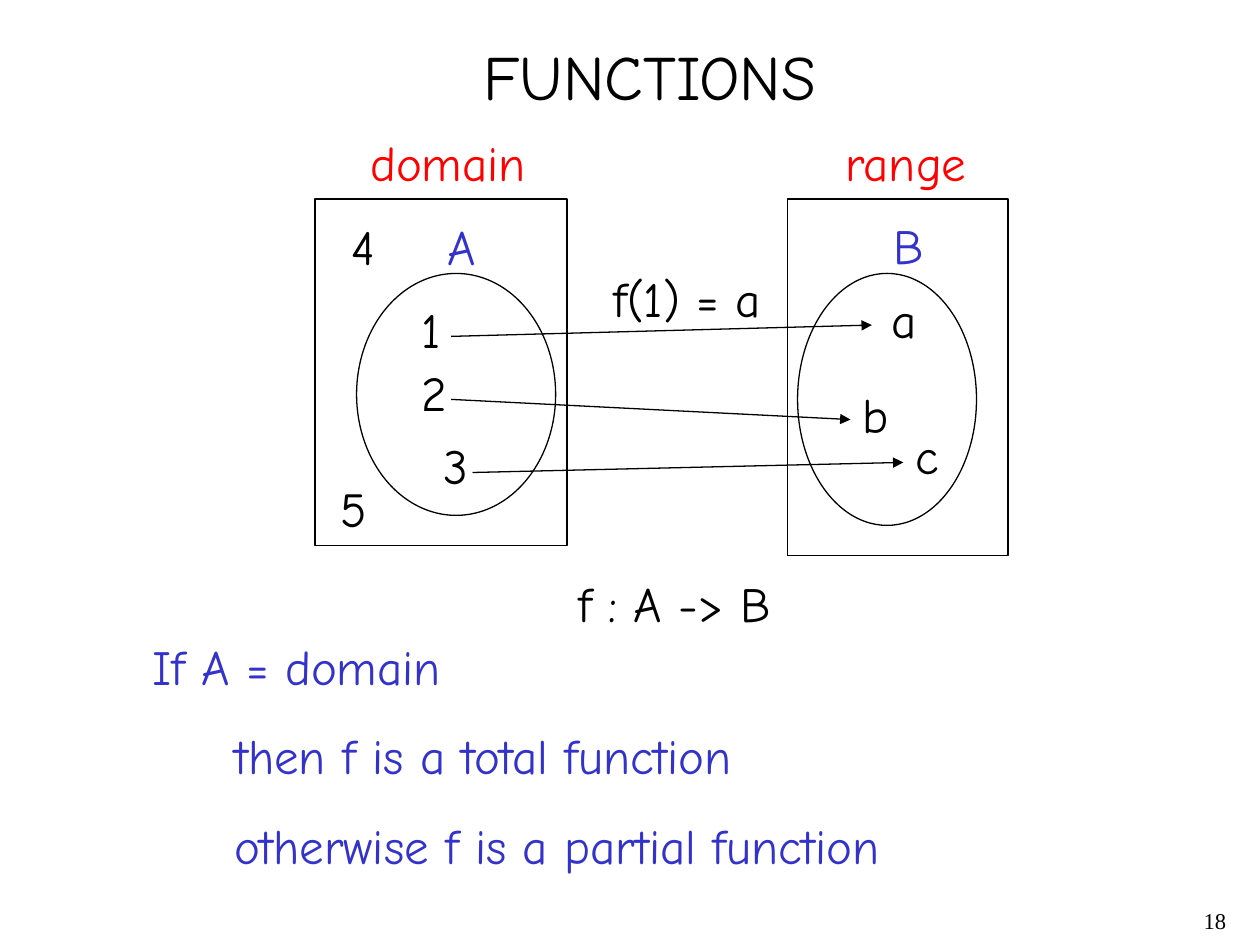
from dataclasses import dataclass

from lxml import etree
from pptx import Presentation
from pptx import util as u
from pptx.dml.color import RGBColor
from pptx.enum import shapes, text
from pptx.oxml import ns


@dataclass(frozen=True)
class Theme:
    font: str = "Comic Neue"
    number_font: str = "Times New Roman"
    black: str = "000000"
    red: str = "FF0000"
    blue: str = "3333CC"
    title_size: float = 36
    body_size: float = 28
    number_size: float = 12.9
    line_width: float = 0.75
    paragraph_gap: float = 17.5


THEME = Theme()
LABEL_HEIGHT = 0.57


def apply_format(target, values):
    for name, value in values.items():
        setattr(target, name, value)


def style_line(line):
    line.width = u.Pt(THEME.line_width)
    line.color.rgb = RGBColor.from_string(THEME.black)


def add_text(slide, box, lines, color=THEME.black, size=THEME.body_size,
             font=THEME.font, indent=0, **paragraph_format):
    """Add a text box; every line after the first is indented."""
    shape = slide.shapes.add_textbox(*map(u.Inches, box))
    frame = shape.text_frame
    apply_format(frame, {
        "word_wrap": False,
        "auto_size": text.MSO_AUTO_SIZE.SHAPE_TO_FIT_TEXT,
        "vertical_anchor": text.MSO_ANCHOR.TOP,
    })
    for index, line in enumerate(lines):
        paragraph = frame.paragraphs[0] if index == 0 else frame.add_paragraph()
        paragraph.text = line
        if index:
            paragraph.space_before = u.Pt(THEME.paragraph_gap)
            paragraph._p.get_or_add_pPr().set("marL", str(u.Inches(indent)))
        apply_format(paragraph, paragraph_format)
        run_font = paragraph.runs[0].font
        apply_format(run_font, {"name": font, "size": u.Pt(size)})
        run_font.color.rgb = RGBColor.from_string(color)
    return shape


def add_outline(slide, kind, box):
    shape = slide.shapes.add_shape(kind, *map(u.Inches, box))
    shape.shadow.inherit = False
    shape.fill.background()
    style_line(shape.line)


def add_arrow(slide, start, end):
    arrow = slide.shapes.add_connector(
        shapes.MSO_CONNECTOR.STRAIGHT, *map(u.Inches, start + end))
    style_line(arrow.line)
    properties = arrow._element.spPr
    etree.SubElement(properties.find(ns.qn("a:ln")), ns.qn("a:tailEnd"), type="triangle")
    etree.SubElement(properties, ns.qn("a:effectLst"))


def add_sets(slide):
    oval, rectangle = shapes.MSO_SHAPE.OVAL, shapes.MSO_SHAPE.RECTANGLE
    for kind, box in [
        (oval, (2.83, 2.17, 1.58, 1.92)),
        (oval, (6.33, 2.17, 1.42, 2)),
        (rectangle, (2.5, 1.58, 2, 2.75)),
        (rectangle, (6.25, 1.58, 1.75, 2.83)),
    ]:
        add_outline(slide, kind, box)


def add_mappings(slide):
    for start, end in [
        ((3.58, 2.67), (6.92, 2.58)),
        ((3.58, 3.17), (6.75, 3.33)),
        ((3.75, 3.75), (7.17, 3.67)),
    ]:
        add_arrow(slide, start, end)


def add_labels(slide):
    for label, left, top, width, color in [
        ("domain", 2.84, 1, 1.44, THEME.red),
        ("range", 6.61, 1, 1.17, THEME.red),
        ("A", 3.45, 1.67, 0.42, THEME.blue),
        ("B", 6.99, 1.66, 0.44, THEME.blue),
        ("1", 3.25, 2.33, 0.35, THEME.black),
        ("2", 3.25, 2.83, 0.4, THEME.black),
        ("3", 3.42, 3.41, 0.39, THEME.black),
        ("4", 2.69, 1.67, 0.39, THEME.black),
        ("5", 2.6, 3.75, 0.41, THEME.black),
        ("a", 6.98, 2.25, 0.4, THEME.black),
        ("b", 6.75, 3, 0.41, THEME.black),
        ("c", 7.17, 3.33, 0.38, THEME.black),
        ("f(1) = a", 4.77, 2.08, 1.37, THEME.black),
        ("f : A -> B", 4.49, 4.5, 1.87, THEME.black),
    ]:
        add_text(slide, (left, top, width, LABEL_HEIGHT), [label], color)


def main():
    presentation = Presentation()
    apply_format(presentation, {"slide_width": u.Inches(10), "slide_height": u.Inches(7.5)})
    slide = presentation.slides.add_slide(presentation.slide_layouts[6])

    add_text(slide, (3.74, 0.25, 2.85, 0.7), ["FUNCTIONS"], size=THEME.title_size)
    add_sets(slide)
    add_mappings(slide)
    add_labels(slide)
    add_text(slide, (1.11, 5, 6.11, 1.99),
             ["If A = domain", "then f is a total function",
              "otherwise f is a partial function"],
             THEME.blue, indent=0.65)
    number = add_text(slide, (7.75, 7.17, 2.08, 0.33), ["18"], size=THEME.number_size,
                      font=THEME.number_font, alignment=text.PP_ALIGN.RIGHT,
                      line_spacing=0.9)
    apply_format(number.text_frame,
                 {"word_wrap": True, "auto_size": text.MSO_AUTO_SIZE.NONE})

    presentation.save("out.pptx")


if __name__ == "__main__":
    main()
